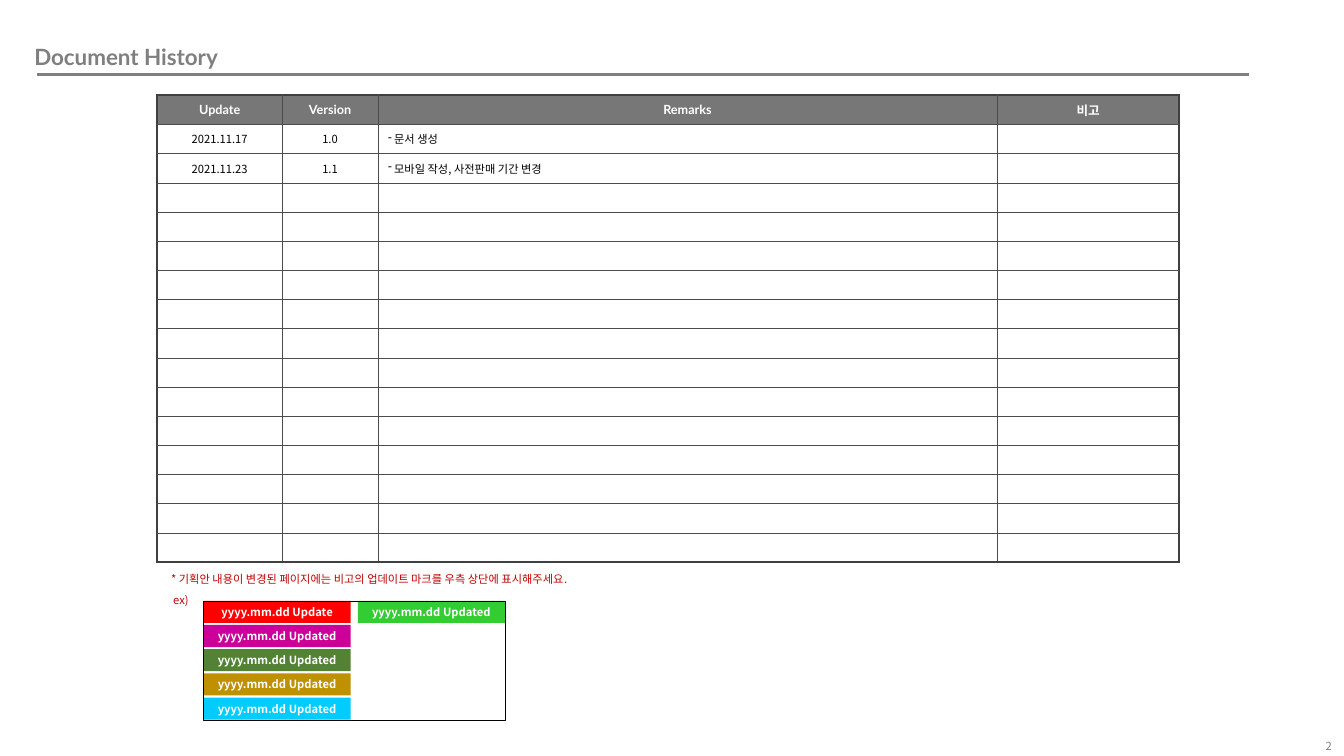
from dataclasses import dataclass

from lxml import etree
from pptx import Presentation
from pptx.dml.color import RGBColor
from pptx.enum import shapes, text
from pptx.oxml import ns
from pptx.util import Inches, Pt


@dataclass(frozen=True)
class Theme:
    latin: str = "Lato"
    korean: str = "Noto Sans CJK KR"
    title_size: float = 16
    header_size: float = 9
    body_size: float = 8
    title: str = "7F7F7F"
    rule: str = "808080"
    header: str = "777777"
    grid: str = "4C4C4C"
    outline: str = "404040"
    ink: str = "000000"
    paper: str = "FFFFFF"
    note: str = "C00000"
    thin: float = 0.25
    table_edge: float = 1.5
    title_rule: float = 2.25


THEME = Theme()
WIDTH, HEIGHT = Inches(13.33), Inches(7.5)
LEFT, CENTER, RIGHT = text.PP_ALIGN.LEFT, text.PP_ALIGN.CENTER, text.PP_ALIGN.RIGHT
MIDDLE = text.MSO_ANCHOR.MIDDLE

HEADERS = ["Update", "Version", "Remarks", "비고"]
HISTORY = [
    ["2021.11.17", "1.0", "문서 생성", ""],
    ["2021.11.23", "1.1", "모바일 작성, 사전판매 기간 변경", ""],
]
ROW_COUNT = 16
COLUMN_SHARES = [9.3, 7.13, 46.05, 13.58]
REMARKS = 2
UPDATED = "yyyy.mm.dd Updated"
# Label, colour, column and row of each update mark
MARKS = [
    ("yyyy.mm.dd Update", "FF0000", 0, 0),
    (UPDATED, "CC0099", 0, 1),
    (UPDATED, "548235", 0, 2),
    (UPDATED, "BF9000", 0, 3),
    (UPDATED, "00CCFF", 0, 4),
    (UPDATED, "33CC33", 1, 0),
]


def across(share):
    """Length as a percentage of the slide's width."""
    return round(WIDTH * share / 100)


def down(share):
    """Length as a percentage of the slide's height."""
    return round(HEIGHT * share / 100)


def area(left, top, width, height):
    return across(left), down(top), across(width), down(height)


def color(value):
    return RGBColor.from_string(value)


def add_xml(parent, tag, **attributes):
    return etree.SubElement(parent, ns.qn(tag), attributes)


def write(para, words, size, ink, font=THEME.korean, bold=False, align=LEFT):
    para.text = words
    para.alignment = align
    para.font.name = font
    para.font.size = Pt(size)
    para.font.bold = bold
    para.font.color.rgb = color(ink)
    add_xml(para.font._element, "a:ea", typeface=THEME.korean)
    if not words:
        add_xml(para._p, "a:endParaRPr", sz=str(round(size * 100)))


def add_bullet(para):
    properties = para._p.get_or_add_pPr()
    properties.set("marL", str(Inches(0.06)))
    properties.set("indent", str(-Inches(0.06)))
    add_xml(properties, "a:buChar", char="-")


def add_title(page, words):
    title = page.shapes.title
    title.left, title.top, title.width, title.height = area(1.65, 4.93, 36.9, 5.2)
    frame = title.text_frame
    frame.word_wrap = True
    frame.auto_size = text.MSO_AUTO_SIZE.NONE
    frame.vertical_anchor = text.MSO_ANCHOR.TOP
    frame.margin_left = frame.margin_right = Inches(0.12)
    frame.margin_top = frame.margin_bottom = Inches(0.06)
    write(frame.paragraphs[0], words, THEME.title_size, THEME.title, THEME.latin, True)


def add_rule(page, left, right, top):
    rule = page.shapes.add_connector(
        shapes.MSO_CONNECTOR.STRAIGHT, across(left), down(top), across(right), down(top))
    rule.line.color.rgb = color(THEME.rule)
    rule.line.width = Pt(THEME.title_rule)
    add_xml(rule._element.spPr, "a:effectLst")


def add_label(page, place, words, ink, align=LEFT, anchor=text.MSO_ANCHOR.TOP):
    frame = page.shapes.add_textbox(*area(*place)).text_frame
    frame.word_wrap = True
    frame.vertical_anchor = anchor
    write(frame.paragraphs[0], words, THEME.body_size, ink, align=align)


def add_box(page, place, fill=None, line=None):
    box = page.shapes.add_shape(shapes.MSO_SHAPE.RECTANGLE, *area(*place))
    box.shadow.inherit = False
    if fill:
        box.fill.solid()
        box.fill.fore_color.rgb = color(fill)
    else:
        box.fill.background()
    if line:
        box.line.color.rgb = color(line)
        box.line.width = Pt(THEME.thin)
    else:
        box.line.fill.background()
    return box


def add_borders(cell, edges):
    """Draw the four borders; edges tells which lie on the table's outline."""
    properties = cell._tc.get_or_add_tcPr()
    for index, (side, outer) in enumerate(zip("LRTB", edges)):
        width = THEME.table_edge if outer else THEME.thin
        border = etree.Element(ns.qn(f"a:ln{side}"), w=str(Pt(width)))
        fill = add_xml(border, "a:solidFill")
        add_xml(fill, "a:srgbClr", val=THEME.outline if outer else THEME.grid)
        properties.insert(index, border)


def fill_cell(cell, words, row, column):
    cell.vertical_anchor = MIDDLE
    para = cell.text_frame.paragraphs[0]
    if row == 0:
        cell.fill.solid()
        cell.fill.fore_color.rgb = color(THEME.header)
        font = THEME.latin if words.isascii() else THEME.korean
        write(para, words, THEME.header_size, THEME.paper, font, True, CENTER)
    else:
        cell.fill.background()
        remark = column == REMARKS
        if remark and words:
            add_bullet(para)
        write(para, words, THEME.body_size, THEME.ink, align=LEFT if remark else CENTER)
    last_column = len(HEADERS) - 1
    add_borders(cell, (column == 0, column == last_column, row == 0, row == ROW_COUNT - 1))


def add_history(page):
    place = area(11.7, 12.6, sum(COLUMN_SHARES), 61.75)
    table = page.shapes.add_table(ROW_COUNT, len(HEADERS), *place).table
    table.first_row = table.horz_banding = False
    for column, share in zip(table.columns, COLUMN_SHARES):
        column.width = across(share)
    blank = [""] * len(HEADERS)
    lines = [HEADERS, *HISTORY] + [blank] * (ROW_COUNT - 1 - len(HISTORY))
    for row, line in enumerate(lines):
        table.rows[row].height = down(61.75 / ROW_COUNT)
        for column, words in enumerate(line):
            fill_cell(table.cell(row, column), words, row, column)


def add_marks(page, left, top):
    for words, fill, column, row in MARKS:
        mark = add_box(page, (left + 11.48 * column, top + 3.2 * row, 10.95, 2.93), fill)
        mark.text_frame.vertical_anchor = MIDDLE
        write(mark.text_frame.paragraphs[0], words, THEME.body_size, THEME.paper,
              bold=True, align=CENTER)
    add_box(page, (left, top, 22.43, 15.73), line=THEME.ink)


def main():
    deck = Presentation()
    deck.slide_width, deck.slide_height = WIDTH, HEIGHT
    page = deck.slides.add_slide(deck.slide_layouts[5])

    # Heading and page number
    add_title(page, "Document History")
    add_rule(page, 2.78, 92.93, 9.87)
    add_label(page, (91.2, 97.87, 8.63, 1.6), "2", THEME.rule, RIGHT, MIDDLE)

    # Revision table
    add_history(page)

    # Guide to the update marks
    add_label(page, (12, 75.07, 34, 3.2),
              "* 기획안 내용이 변경된 페이지에는 비고의 업데이트 마크를 우측 상단에 표시해주세요.", THEME.note)
    add_label(page, (12.15, 77.87, 3.5, 3.2), "ex)", THEME.note)
    add_marks(page, 15.15, 79.47)

    deck.save("out.pptx")


if __name__ == "__main__":
    main()
